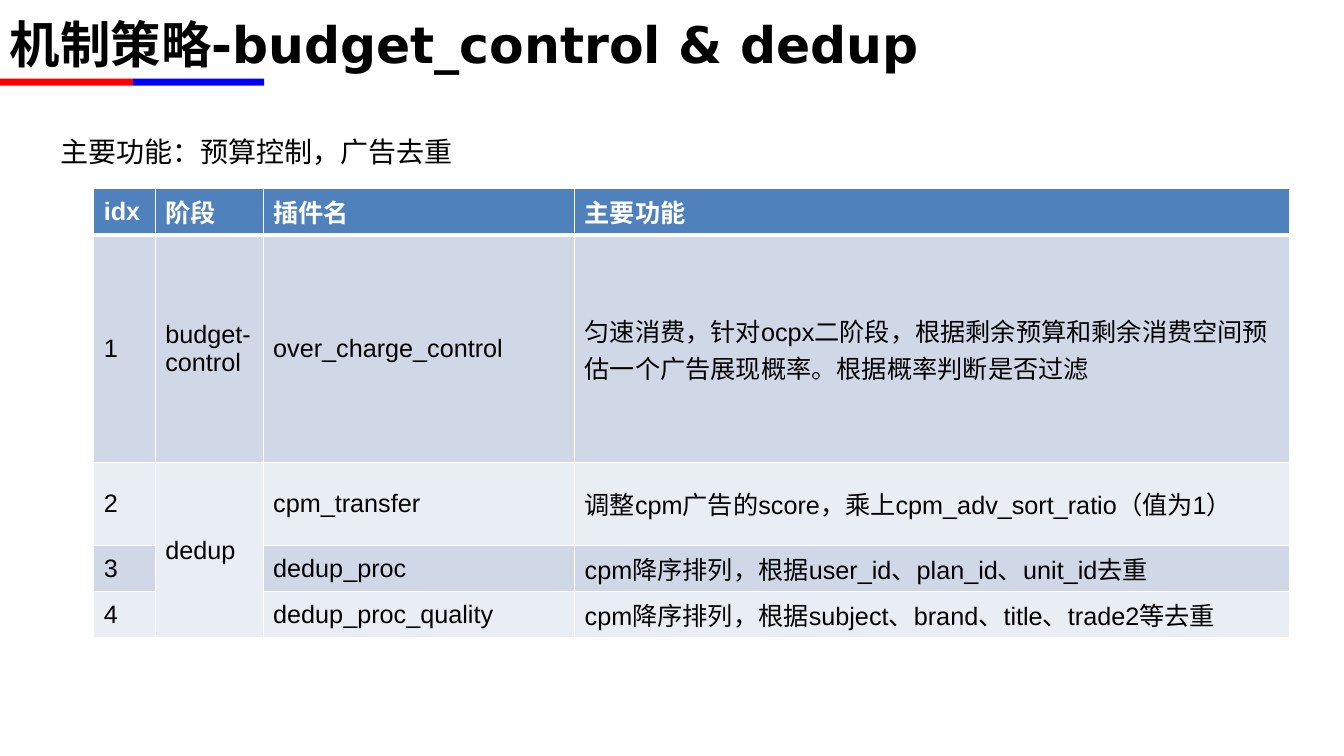
from dataclasses import dataclass

from lxml import etree
from pptx import Presentation
from pptx.dml.color import RGBColor
from pptx.enum.shapes import MSO_SHAPE
from pptx.enum.text import MSO_ANCHOR, PP_ALIGN
from pptx.oxml.ns import qn
from pptx.util import Pt

RECT = MSO_SHAPE.RECTANGLE
MIDDLE, TOP = MSO_ANCHOR.MIDDLE, MSO_ANCHOR.TOP
LEFT = PP_ALIGN.LEFT
PX = 9144  # EMU per px, 100 px to the inch


@dataclass(frozen=True)
class Theme:
    ink: str = "000000"
    white: str = "FFFFFF"
    red: str = "FF0000"
    blue: str = "0000FF"
    head: str = "4F81BD"
    odd: str = "D0D8E8"
    even: str = "E9EDF4"
    sans: str = "Arial"
    bold: str = "DejaVu Sans"
    mono: str = "Noto Sans Mono"
    title: int = 36
    lead: int = 20
    cell: int = 18


T = Theme()
COLS = [61, 107, 309, 709]
ROWS = [46, 226, 82, 46, 46]  # the third row holds two lines
# A cell is a plain text, one paragraph a line, or a list of (text, font) runs
HEAD = ["idx", "阶段", "插件名", "主要功能"]
PLUGINS = [
    ["1", "budget-\ncontrol", "over_charge_control",
     [("匀速消费，针对ocpx二阶段，", T.sans),
      ("根据剩余预算和剩余消费空间预估一个广告展现概率。根据概率判断是否过滤", T.mono)]],
    ["2", "dedup", "cpm_transfer", "调整cpm广告的score，乘上cpm_adv_sort_ratio（值为1）"],
    ["3", "", "dedup_proc", "cpm降序排列，根据user_id、plan_id、unit_id去重"],
    ["4", "", "dedup_proc_quality",
     "cpm降序排列，根据subject、brand、title、trade2等去重"],
]


def px(*sizes):
    return [size * PX for size in sizes]


def add_run(para, text, font, size, color, bold=False):
    run = para.add_run()
    run.text = text
    run.font.name = font
    run.font.size = Pt(size)
    run.font.bold = bold
    run.font.color.rgb = RGBColor.from_string(color)


def add_text(slide, box, anchor):
    """Add an empty text box and return its first paragraph."""
    frame = slide.shapes.add_textbox(*px(*box)).text_frame
    frame.word_wrap = True
    frame.vertical_anchor = anchor
    para = frame.paragraphs[0]
    para.alignment = LEFT
    return para


def add_title(slide, box):
    x, y, w, h = box
    # Two-colour rule below the heading
    for left, wide, color in ((0, 132, T.red), (132, 130, T.blue)):
        bar = slide.shapes.add_shape(RECT, *px(x + left, y + h - 7, wide, 7))
        bar.shadow.inherit = False
        bar.fill.solid()
        bar.fill.fore_color.rgb = RGBColor.from_string(color)
        bar.line.fill.background()
    # Heading
    para = add_text(slide, box, MIDDLE)
    add_run(para, "机制策略-budget_control & dedup", T.bold, T.title, T.ink, True)


def add_lead(slide, box):
    para = add_text(slide, box, TOP)
    para.line_spacing = 1.5
    props = para._p.get_or_add_pPr()
    props.set("marL", str(50 * PX))
    props.set("indent", "0")
    add_run(para, "主要功能：预算控制，广告去重", T.sans, T.lead, T.ink)


def add_edges(cell, top, bottom):
    props = cell._tc.get_or_add_tcPr()
    for spot, (side, width) in enumerate(
            (("L", 1), ("R", 1), ("T", top), ("B", bottom))):
        line = etree.Element(qn(f"a:ln{side}"), w=str(Pt(width)))
        fill = etree.SubElement(line, qn("a:solidFill"))
        etree.SubElement(fill, qn("a:srgbClr"), val=T.white)
        props.insert(spot, line)


def fill_cell(cell, content, row):
    head = row == 0
    fill = T.head if head else (T.even, T.odd)[row % 2]
    cell.fill.solid()
    cell.fill.fore_color.rgb = RGBColor.from_string(fill)
    cell.vertical_anchor = MIDDLE
    add_edges(cell, 3 if row == 1 else 1, 3 if head else 1)
    if isinstance(content, str):
        paras = [[(text, T.sans)] for text in content.split("\n") if text]
    else:
        paras = [content]
    frame = cell.text_frame
    for spot, runs in enumerate(paras):
        para = frame.add_paragraph() if spot else frame.paragraphs[0]
        for text, font in runs:
            add_run(para, text, font, T.cell, T.white if head else T.ink, head)


def add_grid(slide, x, y):
    size = px(x, y, sum(COLS), sum(ROWS))
    table = slide.shapes.add_table(len(ROWS), len(COLS), *size).table
    for col, wide in zip(table.columns, COLS):
        col.width = wide * PX
    for row, high in zip(table.rows, ROWS):
        row.height = high * PX
    for r, line in enumerate([HEAD] + PLUGINS):
        for c, content in enumerate(line):
            fill_cell(table.cell(r, c), content, r)
    # The dedup stage spans its three plugins
    table.cell(2, 1).merge(table.cell(4, 1))


def main():
    deck = Presentation()
    deck.slide_width, deck.slide_height = px(1333, 750)
    slide = deck.slides.add_slide(deck.slide_layouts[6])
    add_title(slide, (0, 0, 1200, 85))
    add_lead(slide, (0, 112, 1333, 638))
    add_grid(slide, 93, 187)
    deck.save("out.pptx")


if __name__ == "__main__":
    main()
